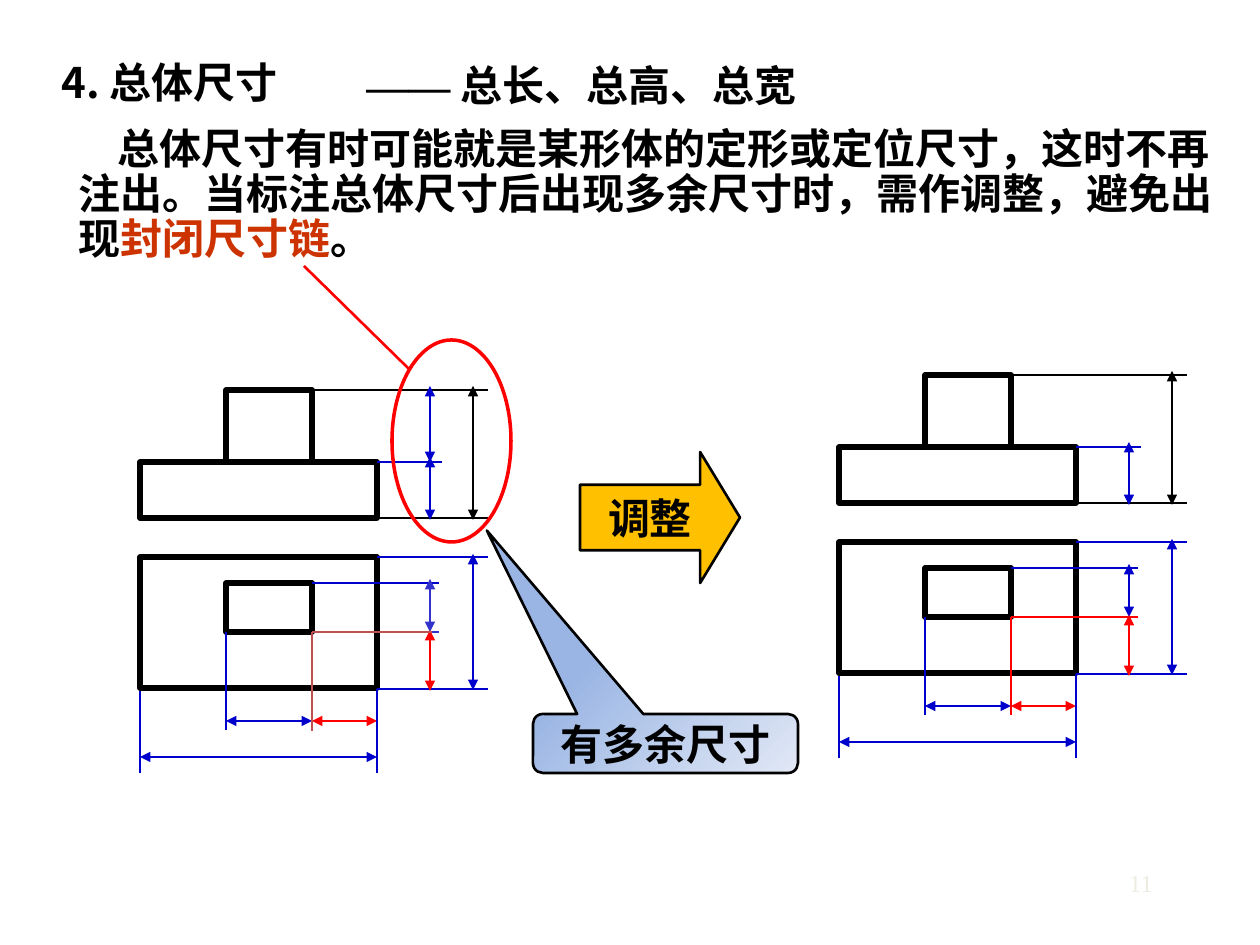
from lxml.etree import SubElement
from pptx import Presentation
from pptx.dml.color import RGBColor
from pptx.enum.shapes import MSO_CONNECTOR as LINK, MSO_SHAPE as SHAPE
from pptx.enum.text import MSO_ANCHOR as ANCHOR, MSO_AUTO_SIZE as SIZE, PP_ALIGN as ALIGN
from pptx.oxml.ns import qn
from pptx.util import Inches, Pt

SCALE = Inches(1) / 126
SANS, SERIF = "Noto Sans CJK SC", "Times New Roman"
BLACK, BLUE, RED = "000000", "0000CC", "FF0000"
PALE, BRICK = "3333CC", "C0504D"


def px(n):
    return round(n * SCALE)


def color(code):
    return RGBColor.from_string(code)


def write(para, runs):
    """Add runs given as (text, format changes) to a paragraph."""
    for text, change in runs:
        style = {"size": 24, "bold": True, "name": SANS, "color": BLACK} | change
        run = para.add_run()
        run.text = text
        font = run.font
        font.color.rgb = color(style.pop("color"))
        style["size"] = Pt(style["size"])
        for key, value in style.items():
            setattr(font, key, value)
        SubElement(font._element, qn("a:ea"), typeface=style["name"])


def label(slide, box, runs, **look):
    """Add a text box and return its paragraph."""
    frame = slide.shapes.add_textbox(*map(px, box)).text_frame
    look = {"word_wrap": True, "auto_size": SIZE.SHAPE_TO_FIT_TEXT} | look
    for key, value in look.items():
        setattr(frame, key, value)
    para = frame.paragraphs[0]
    write(para, runs)
    return para


def shape(slide, kind, box, ink=BLACK, width=3.0, text="", adjust=()):
    item = slide.shapes.add_shape(kind, *map(px, box))
    item.shadow.inherit = False
    item.fill.background()
    item.line.color.rgb = color(ink)
    item.line.width = Pt(width)
    for i, value in enumerate(adjust):
        item.adjustments[i] = value
    if text:
        frame = item.text_frame
        frame.word_wrap = False
        frame.vertical_anchor = ANCHOR.MIDDLE
        para = frame.paragraphs[0]
        para.alignment = ALIGN.CENTER
        write(para, [(text, {})])
    return item


def line(slide, ends, ink=BLUE, width=1.5, arrows=False):
    item = slide.shapes.add_connector(LINK.STRAIGHT, *map(px, ends))
    item.line.color.rgb = color(ink)
    item.line.width = Pt(width)
    if arrows:
        for tag in ("a:headEnd", "a:tailEnd"):
            SubElement(item.line._ln, qn(tag), type="triangle")
    SubElement(item._element.spPr, qn("a:effectLst"))


def views(slide, x, y, side, edge, depth, extra=False):
    """Draw front and top views with dimensions; x, y is the top left corner.

    side, edge and depth colour the small block's right and front
    extension lines and its depth dimension.
    """
    for left, top, wide, high in ((0, 72, 237, 56), (86, 0, 86, 72),
                                  (0, 167, 237, 131), (86, 193, 86, 49)):
        shape(slide, SHAPE.RECTANGLE, (x + left, y + top, wide, high))

    across = [(172, 348, 0, BLACK), (237, 302, 72, BLUE), (237, 348, 128, BLACK),
              (237, 348, 167, BLUE), (237, 348, 299, BLUE),
              (172, 299, 193, BLUE), (172, 299, 242, edge)]
    down = [(0, 301, 383, BLUE), (237, 299, 383, BLUE),
            (86, 242, 340, BLUE), (172, 242, 340, side)]
    wide_dims = [(0, 237, 367, BLUE), (86, 172, 331, BLUE), (172, 237, 331, RED)]
    high_dims = [(290, 67, 130, BLUE), (333, -4, 130, BLACK), (333, 164, 300, BLUE),
                 (290, 189, 242, depth), (290, 240, 301, RED)]
    if extra:
        high_dims.append((290, -4, 72, BLUE))

    for rows, arrows in ((across, False), (wide_dims, True)):
        for start, end, level, ink in rows:
            line(slide, (x + start, y + level, x + end, y + level), ink, arrows=arrows)
    for rows, arrows in ((down, False), (high_dims, True)):
        for place, start, end, ink in rows:
            line(slide, (x + place, y + start, x + place, y + end), ink, arrows=arrows)


def heading(slide):
    label(slide, (49, 50, 1211, 63), [("4. 总体尺寸", {})])
    label(slide, (354, 53, 906, 63),
          [("—— ", {"name": SERIF}), ("总长、总高、总宽", {})])
    para = label(slide, (66, 121, 1194, 150), [
        ("总体尺寸有时可能就是某形体的定形或定位尺寸，这时不再注出。"
         "当标注总体尺寸后出现多余尺寸时，需作调整，避免出现", {}),
        ("封闭尺寸链", {"color": "CC3300"}),
        ("。", {})], vertical_anchor=ANCHOR.MIDDLE)
    para.line_spacing = 0.9
    para._p.get_or_add_pPr().set("indent", str(px(39)))


def notes(slide):
    """Add the callout and the block arrow."""
    call = shape(slide, SHAPE.ROUNDED_RECTANGULAR_CALLOUT, (533, 714, 265, 59),
                 width=1.5, text="有多余尺寸", adjust=(-0.674, -3.611, 0.167))
    call.fill.gradient()
    call.fill.gradient_angle = 315
    for stop, code in zip(call.fill.gradient_stops, ("9AB5E4", "E1E8F5")):
        stop.color.rgb = color(code)

    arrow = shape(slide, SHAPE.RIGHT_ARROW, (580, 452, 160, 131),
                  width=1.5, text="调整", adjust=(0.5, 0.304))
    arrow.fill.solid()
    arrow.fill.fore_color.rgb = color("FFC000")


def main():
    deck = Presentation()
    deck.slide_width, deck.slide_height = Inches(10), Inches(7.5)
    slide = deck.slides.add_slide(deck.slide_layouts[6])

    heading(slide)
    views(slide, 140, 390, PALE, PALE, PALE, extra=True)
    notes(slide)
    views(slide, 839, 375, RED, RED, BLUE)

    line(slide, (312, 632, 312, 731), BRICK, 0.75)
    line(slide, (312, 632, 432, 632), BRICK, 0.75)
    shape(slide, SHAPE.OVAL, (392, 340, 119, 202), RED, 2)
    line(slide, (410, 370, 304, 266), RED)

    number = label(slide, (1101, 862, 80, 42),
                   [("11", {"size": 14, "bold": False, "name": SERIF,
                            "color": "EEECE1"})])
    number.alignment = ALIGN.CENTER
    deck.save("out.pptx")


if __name__ == "__main__":
    main()
